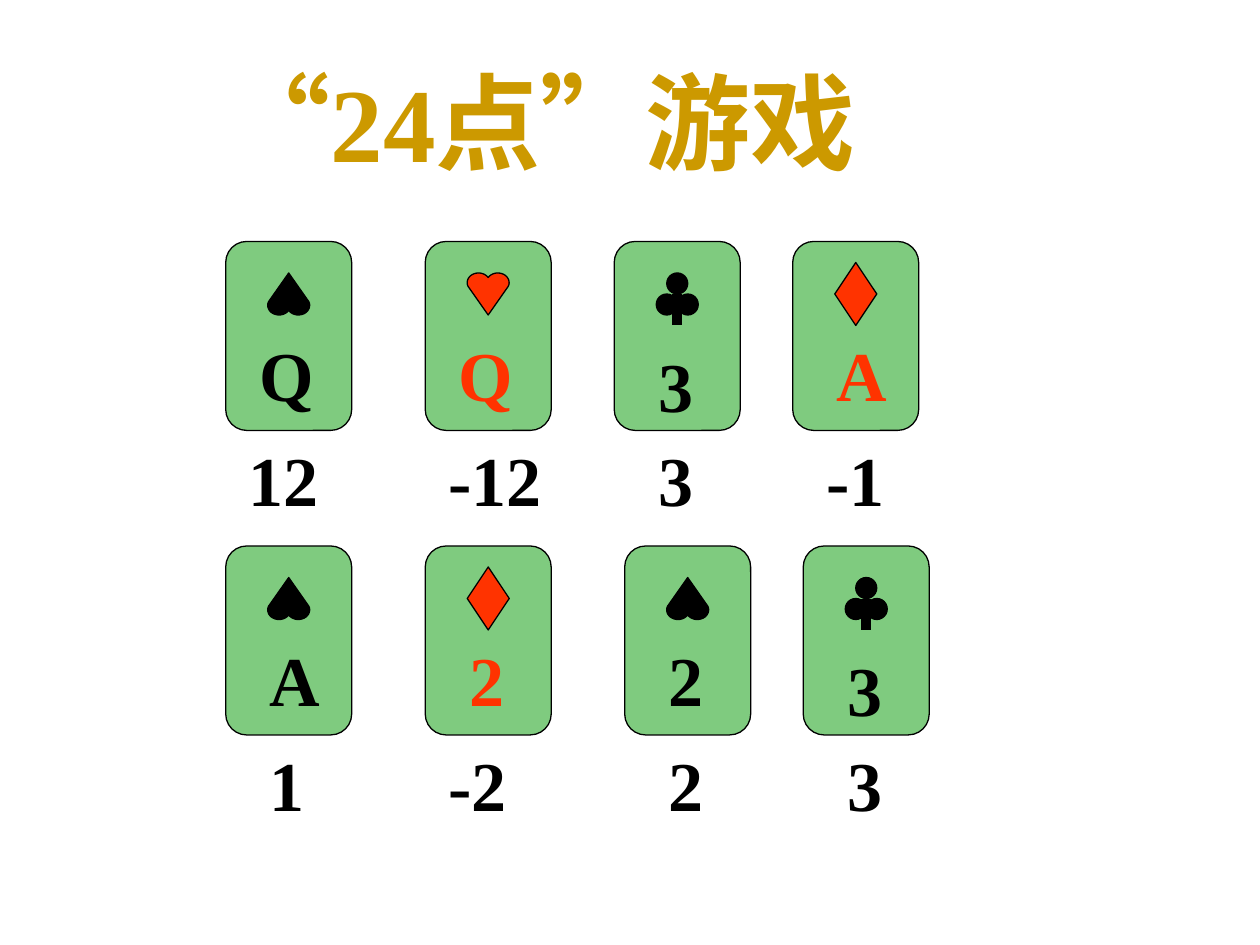
from math import cos, radians, sin

from lxml import etree
from pptx import Presentation, util as u
from pptx.dml.color import RGBColor
from pptx.enum import lang, shapes, text
from pptx.oxml import ns

COLS, ROWS = 240, 180  # grid cells across and down the slide
CELL = u.Inches(10) // COLS
FONT = "Times New Roman"
BLACK, RED, GREEN, GOLD = "000000", "FF3300", "009900", "CC9900"
SUIT_COLORS = {"spade": BLACK, "club": BLACK, "heart": RED, "diamond": RED}

# top row, then (column, suit, rank, value, indent of the value)
HANDS = [
    (46, [(43, "spade", "Q", "12", 2), (81, "heart", "Q", "-12", 2),
          (117, "club", "3", "3", 6), (151, "diamond", "A", "-1", 4)]),
    (104, [(43, "spade", "A", "1", 6), (81, "diamond", "2", "-2", 2),
           (119, "spade", "2", "2", 6), (153, "club", "3", "3", 6)]),
]


def rgb(color):
    return RGBColor.from_string(color)


def cells(*counts):
    return [round(n * CELL) for n in counts]


def add_effect(parent, name, **attrs):
    """Append a DrawingML child element and return it."""
    child = etree.SubElement(parent, ns.qn(name))
    for key, value in attrs.items():
        child.set(key, value)
    return child


def paint(s, color):
    s.shadow.inherit = False
    s.fill.solid()
    s.fill.fore_color.rgb = rgb(color)
    s.line.color.rgb = rgb(BLACK)
    s.line.width = u.Pt(0.75)


def add_preset(group, kind, x, y, w, h, color):
    s = group.shapes.add_shape(kind, *cells(x, y, w, h))
    paint(s, color)
    return s


def add_heart(group, x, y, size, color, flipped=False):
    """Draw a heart, or with flipped its upside-down form, the spade."""
    lobe = [(0.27 + 0.27 * cos(radians(t)), 0.23 - 0.23 * sin(radians(t)))
            for t in range(32, 203, 10)]
    outline = lobe + [(0.5, 1)] + [(1 - px, py) for px, py in reversed(lobe)]
    points = [cells(x + px * size, y + (1 - py if flipped else py) * size)
              for px, py in outline]
    builder = group.shapes.build_freeform(*points[0])
    builder.add_line_segments(points[1:], close=True)
    paint(builder.convert_to_shape(), color)


def add_club(group, x, y, color):
    for dx, dy in ((2, 0), (0, 4), (4, 4)):
        add_preset(group, shapes.MSO_SHAPE.OVAL, x + dx, y + dy, 4, 4, color)
    stem = group.shapes.add_connector(
        shapes.MSO_CONNECTOR.STRAIGHT, *cells(x + 4, y + 4, x + 4, y + 10))
    stem.line.color.rgb = rgb(color)
    stem.line.width = u.Pt(6)
    add_effect(stem._element.spPr, "a:effectLst")


def add_suit(group, suit, x, y):
    color = SUIT_COLORS[suit]
    if suit == "club":
        add_club(group, x + 8, y + 6, color)
    elif suit == "diamond":
        add_preset(group, shapes.MSO_SHAPE.DIAMOND, x + 8, y + 4, 8, 12, color)
    else:
        add_heart(group, x + 8, y + 6, 8, color, flipped=suit == "spade")


def add_card(slide, suit, x, y):
    group = slide.shapes.add_group_shape()
    card = add_preset(group, shapes.MSO_SHAPE.ROUNDED_RECTANGLE, x, y, 24, 36, GREEN)
    clr = card.fill._xPr.find(ns.qn("a:solidFill"))[0]
    add_effect(clr, "a:alpha", val="50000")
    add_suit(group, suit, x, y)


def add_text(slide, words, x, y, w, h, size, color):
    s = slide.shapes.add_textbox(*cells(x, y, w, h))
    tf = s.text_frame
    tf.word_wrap = True
    tf.text = words
    font = tf.paragraphs[0].runs[0].font
    font.name, font.size, font.bold = FONT, u.Pt(size), True
    font.color.rgb = rgb(color)
    return tf


def add_title(slide):
    tf = add_text(slide, "“24点”游戏", 1, 14, 204, 18, 60, GOLD)
    tf.vertical_anchor = text.MSO_ANCHOR.MIDDLE
    p = tf.paragraphs[0]
    p.alignment = text.PP_ALIGN.CENTER
    r = p.runs[0]
    r.font.language_id = lang.MSO_LANGUAGE_ID.SIMPLIFIED_CHINESE
    effects = etree.Element(ns.qn("a:effectLst"))
    shadow = add_effect(effects, "a:outerShdw", dist="38100", dir="2700000")
    add_effect(shadow, "a:srgbClr", val=BLACK)
    r.font._element.find(ns.qn("a:solidFill")).addnext(effects)


def main():
    prs = Presentation()
    prs.slide_width, prs.slide_height = cells(COLS, ROWS)
    slide = prs.slides.add_slide(prs.slide_layouts[6])
    add_title(slide)
    for y, hand in HANDS:
        for x, suit, rank, value, indent in hand:
            add_card(slide, suit, x, y)
            rank_x = x + (4 if rank == "Q" else 6)
            rank_y = y + (18 if suit == "club" else 16)
            add_text(slide, rank, rank_x, rank_y, 16, 18.5, 40, SUIT_COLORS[suit])
            add_text(slide, value, x + indent, y + 36, 26, 18.5, 40, BLACK)
    prs.save("out.pptx")


if __name__ == "__main__":
    main()
